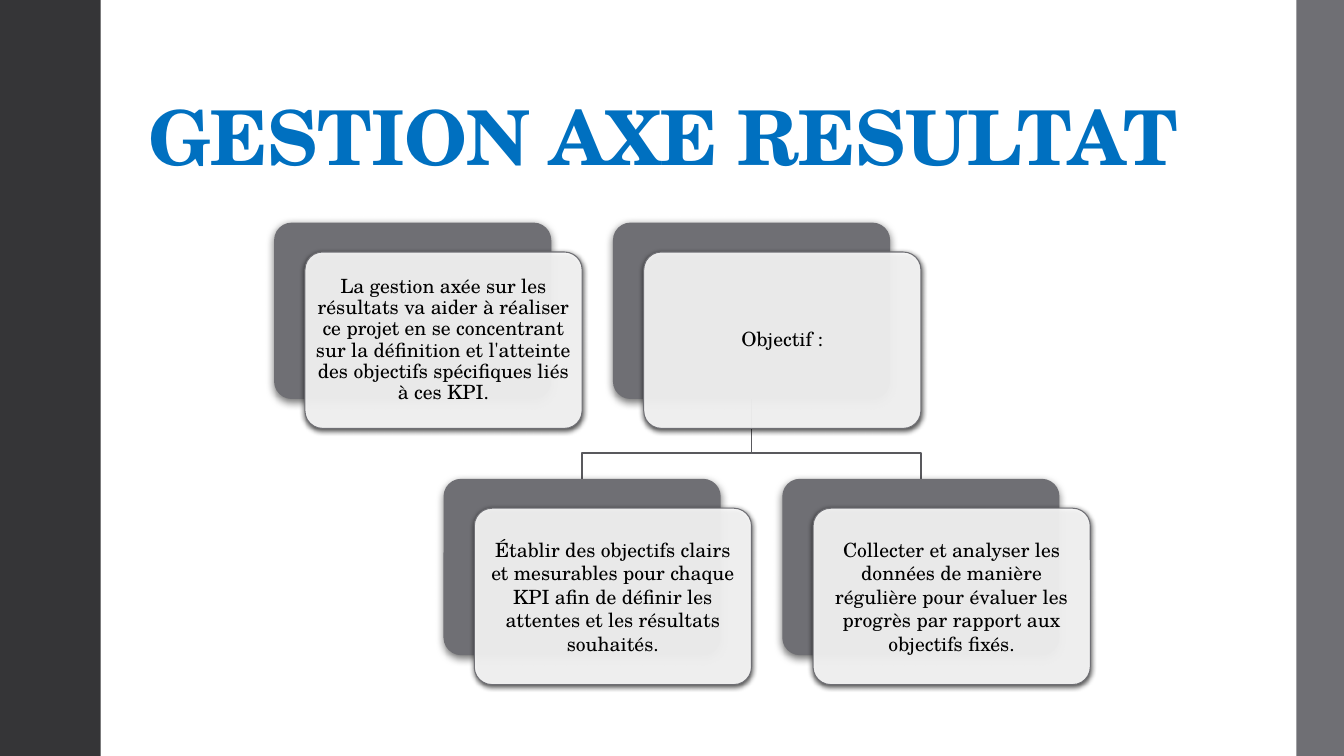
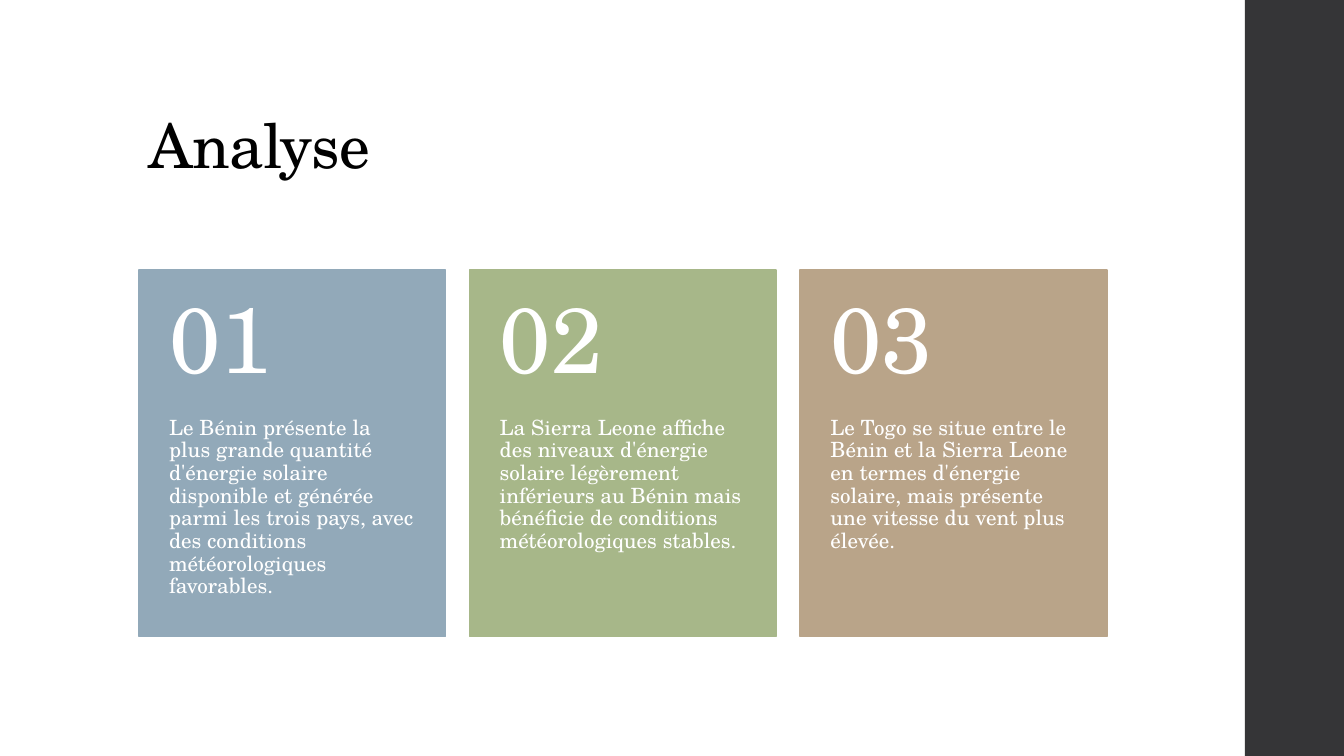
"""Build two slides: a results-based management tree and an analysis in three cards."""
from dataclasses import dataclass

from lxml import etree
from pptx import Presentation
from pptx.dml.color import RGBColor
from pptx.enum.shapes import MSO_SHAPE
from pptx.enum.text import MSO_ANCHOR, PP_ALIGN
from pptx.oxml.ns import qn
from pptx.util import Pt

RECT = MSO_SHAPE.RECTANGLE
ROUND = MSO_SHAPE.ROUNDED_RECTANGLE
TOP, MIDDLE, BOTTOM = MSO_ANCHOR.TOP, MSO_ANCHOR.MIDDLE, MSO_ANCHOR.BOTTOM
LEFT_ALIGN, CENTER = PP_ALIGN.LEFT, PP_ALIGN.CENTER

FONT = "TeX Gyre Schola"
COLORS = {
    "white": "FFFFFF",
    "black": "000000",
    "title": "0070C0",
    "dark": "353537",
    "gray": "6F6F74",
    "line": "59595D",
    "blue": "92A9B9",
    "green": "A7B789",
    "tan": "B9A489",
}
SLIDE_W, SLIDE_H = 960, 540
MARGIN = 99.2
NODE_W, NODE_H = 198, 126
NODE_LEFT, NODE_TOP = 195.8, 159
NODE_STEP_X, NODE_STEP_Y = 242, 183
FRONT_DX, FRONT_DY = 22, 21
CARD_TOP, CARD_W, CARD_H, CARD_STEP = 192.8, 219, 262, 236.2
NUMBER_H = 105


@dataclass(frozen=True)
class Box:
    """A rectangle in points."""
    x: float
    y: float
    w: float
    h: float

    def emu(self) -> tuple:
        """Return the four lengths for python-pptx."""
        return Pt(self.x), Pt(self.y), Pt(self.w), Pt(self.h)

    def inset(self, d: float) -> "Box":
        """Return the box shrunk on every side."""
        return Box(self.x + d, self.y + d, self.w - 2 * d, self.h - 2 * d)


@dataclass(frozen=True)
class TextStyle:
    """The look and placement of a text."""
    size: float
    color: str
    anchor: MSO_ANCHOR = TOP
    align: PP_ALIGN = LEFT_ALIGN
    insets: tuple = (7.2, 3.6, 7.2, 3.6)
    spacing: float = 0.9
    bold: bool = False
    tracking: int = 0


@dataclass(frozen=True)
class Shadow:
    """A black shadow cast downwards."""
    alpha: int
    blur: float
    dist: float


@dataclass(frozen=True)
class Node:
    """A card of the tree, placed by column and row."""
    col: float
    row: int
    text: str
    spacing: float

    def back(self) -> Box:
        """Return the box of the card behind."""
        return Box(NODE_LEFT + self.col * NODE_STEP_X,
                   NODE_TOP + self.row * NODE_STEP_Y, NODE_W, NODE_H)

    def front(self) -> Box:
        """Return the box of the card in front."""
        b = self.back()
        return Box(b.x + FRONT_DX, b.y + FRONT_DY, b.w, b.h)


@dataclass(frozen=True)
class Card:
    """A numbered card of the analysis."""
    color: str
    text: str


BACK_SHADOW = Shadow(55, 6, 2)
FRONT_SHADOW = Shadow(75, 4, 1.2)
NUMBER = TextStyle(66, "white", MIDDLE, insets=(21.6, 13, 21.6, 13))
BODY = TextStyle(15, "white", insets=(21.6, 0, 21.6, 26))

INTRO = Node(0, 0, "La gestion axée sur les résultats va aider à réaliser ce projet "
             "en se concentrant sur la définition et l'atteinte des objectifs "
             "spécifiques liés à ces KPI.", 0.9)
GOAL = Node(1, 0, "Objectif :", 0.9)
STEPS = (
    Node(0.5, 1, "Établir des objectifs clairs et mesurables pour chaque KPI afin de "
         "définir les attentes et les résultats souhaités.", 1.0),
    Node(1.5, 1, "Collecter et analyser les données de manière régulière pour évaluer "
         "les progrès par rapport aux objectifs fixés.", 1.0),
)
CARDS = (
    Card("blue", "Le Bénin présente la plus grande quantité d'énergie solaire disponible "
         "et générée parmi les trois pays, avec des conditions météorologiques favorables."),
    Card("green", "La Sierra Leone affiche des niveaux d'énergie solaire légèrement "
         "inférieurs au Bénin mais bénéficie de conditions météorologiques stables."),
    Card("tan", "Le Togo se situe entre le Bénin et la Sierra Leone en termes d'énergie "
         "solaire, mais présente une vitesse du vent plus élevée."),
)


def rgb(name: str) -> RGBColor:
    """Look up a colour by name."""
    return RGBColor.from_string(COLORS[name])


def add_alpha(clr, percent: int) -> None:
    """Set the opacity of a colour element."""
    etree.SubElement(clr, qn("a:alpha"), val=str(percent * 1000))


def add_shadow(sp, shadow: Shadow) -> None:
    """Give a shape an outer shadow."""
    effects = sp._element.spPr.find(qn("a:effectLst"))
    outer = etree.SubElement(effects, qn("a:outerShdw"), blurRad=str(Pt(shadow.blur)),
                             dist=str(Pt(shadow.dist)), dir="5400000",
                             algn="ctr", rotWithShape="0")
    add_alpha(etree.SubElement(outer, qn("a:srgbClr"), val=COLORS["black"]), shadow.alpha)


def add_box(s, kind: MSO_SHAPE, box: Box, fill: str, line: str = "", width: float = 0.75):
    """Draw a filled shape, outlined if a line colour is given."""
    sp = s.shapes.add_shape(kind, *box.emu())
    sp.shadow.inherit = False
    sp.fill.solid()
    sp.fill.fore_color.rgb = rgb(fill)
    if line:
        sp.line.color.rgb = rgb(line)
        sp.line.width = Pt(width)
    else:
        sp.line.fill.background()
    return sp


def add_text(s, box: Box, text: str, style: TextStyle) -> None:
    """Draw a wrapped text box."""
    tf = s.shapes.add_textbox(*box.emu()).text_frame
    tf.word_wrap = True
    tf.vertical_anchor = style.anchor
    tf.margin_left, tf.margin_top, tf.margin_right, tf.margin_bottom = map(Pt, style.insets)
    p = tf.paragraphs[0]
    p.alignment = style.align
    p.line_spacing = style.spacing
    r = p.add_run()
    r.text = text
    r.font.name = FONT
    r.font.size = Pt(style.size)
    r.font.bold = style.bold
    r.font.color.rgb = rgb(style.color)
    if style.tracking:
        r._r.get_or_add_rPr().set("spc", str(style.tracking))


def add_title(s, text: str, size: float, color: str, bold: bool = False) -> None:
    """Draw the slide title."""
    add_text(s, Box(MARGIN, 28.8, 776, 104.4), text,
             TextStyle(size, color, BOTTOM, bold=bold, tracking=-50))


def add_band(s, x: float, w: float, color: str) -> None:
    """Draw a band over the full slide height."""
    add_box(s, RECT, Box(x, 0, w, SLIDE_H), color)


def add_branch(s, parent: Node, child: Node) -> None:
    """Draw the bent line between two nodes."""
    start, end = parent.back(), child.back()
    x1, x2 = start.x + NODE_W / 2, end.x + NODE_W / 2
    bend = end.y - 18.4
    fb = s.shapes.build_freeform(Pt(x1), Pt(start.y + NODE_H))
    fb.add_line_segments([(Pt(x1), Pt(bend)), (Pt(x2), Pt(bend)), (Pt(x2), Pt(end.y))],
                         close=False)
    sp = fb.convert_to_shape()
    sp.shadow.inherit = False
    sp.fill.background()
    sp.line.color.rgb = rgb("line")
    sp.line.width = Pt(1.1)


def add_node(s, node: Node) -> None:
    """Draw a tree node as two offset cards with text."""
    back = add_box(s, ROUND, node.back(), "gray")
    front = add_box(s, ROUND, node.front(), "white", "gray")
    for sp, shadow in ((back, BACK_SHADOW), (front, FRONT_SHADOW)):
        sp.adjustments[0] = 0.1
        add_shadow(sp, shadow)
    fill = front._element.spPr.find(qn("a:solidFill"))
    add_alpha(fill.find(qn("a:srgbClr")), 90)
    add_text(s, node.front().inset(3.7), node.text,
             TextStyle(14, "black", MIDDLE, CENTER, (4.2,) * 4, node.spacing))


def add_card(s, index: int, card: Card) -> None:
    """Draw a numbered analysis card."""
    x = MARGIN + index * CARD_STEP
    add_box(s, RECT, Box(x, CARD_TOP, CARD_W, CARD_H), card.color, card.color, 1.1)
    add_text(s, Box(x, CARD_TOP + NUMBER_H, CARD_W, CARD_H - NUMBER_H), card.text, BODY)
    add_text(s, Box(x, CARD_TOP, CARD_W, NUMBER_H), f"{index + 1:02d}", NUMBER)


def build_results(s) -> None:
    """Build the results-based management slide."""
    add_title(s, "GESTION AXE RESULTAT", 54, "title", bold=True)
    add_band(s, 0, 72, "dark")
    add_band(s, 926, SLIDE_W - 926, "gray")
    for step in reversed(STEPS):
        add_branch(s, GOAL, step)
    for node in (INTRO, GOAL, *STEPS):
        add_node(s, node)


def build_analysis(s) -> None:
    """Build the analysis slide."""
    add_band(s, 889.2, SLIDE_W - 889.2, "dark")
    add_title(s, "Analyse", 44, "black")
    for index, card in enumerate(CARDS):
        add_card(s, index, card)


def main() -> None:
    """Build and save the presentation."""
    prs = Presentation()
    prs.slide_width, prs.slide_height = Pt(SLIDE_W), Pt(SLIDE_H)
    for build in (build_results, build_analysis):
        build(prs.slides.add_slide(prs.slide_layouts[6]))
    prs.save("out.pptx")


if __name__ == "__main__":
    main()
